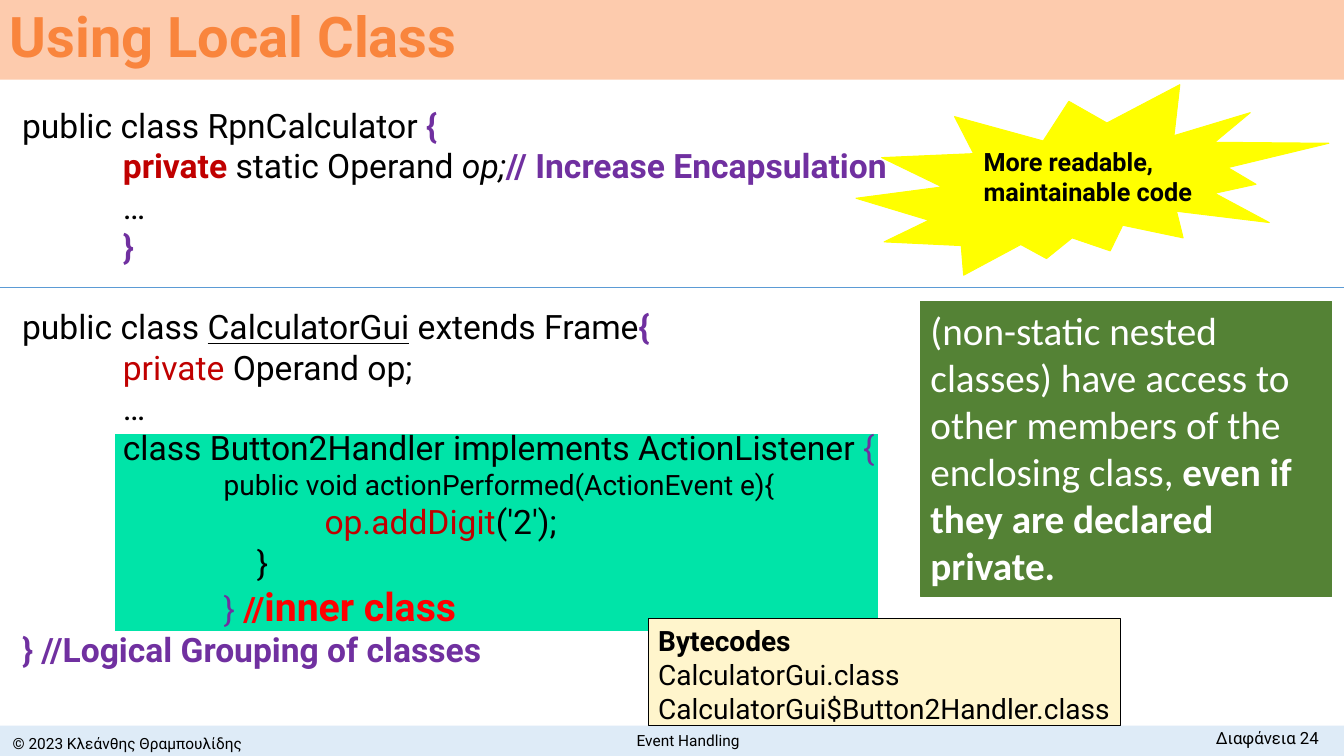
import pptx
import pptx.util
from lxml import etree
from pptx.dml.color import RGBColor
from pptx.enum.shapes import MSO_CONNECTOR, MSO_SHAPE
from pptx.enum.text import MSO_ANCHOR, PP_ALIGN
from pptx.oxml.ns import qn
from pptx.util import Inches, Pt

COLORS = {
    "black": "000000", "white": "FFFFFF", "purple": "7030A0",
    "keyword": "C00000", "red": "FF0000", "highlight": "00E4A8",
    "title_band": "FDCBAD", "title": "F9853D", "footer": "DEEBF7",
    "cream": "FFF5CC", "yellow": "FFFF00", "divider": "5B9BD5",
    "green": "548235",
}
WIDTH, HEIGHT = 13.33, 7.5
CODE_SIZE = 24
BRACE = {"color": "purple", "bold": True}

# Each line of code: (indent in inches, runs of (text, format))
CALCULATOR_CODE = [
    (0, [("public class RpnCalculator ", {}), ("{", BRACE)]),
    (1, [("private", {"color": "keyword", "bold": True}),
         (" static Operand ", {}), ("op;", {"italic": True}),
         ("// Increase Encapsulation", BRACE)]),
    (1, [("…", {})]),
    (1, [("}", BRACE)]),
]
GUI_CODE = [
    (0, [("public class ", {}), ("CalculatorGui", {"underline": True}),
         (" extends Frame", {}), ("{", BRACE)]),
    (1, [("private", {"color": "keyword"}), (" Operand op;", {})]),
    (1, [("…", {})]),
    (1, [("class Button2Handler implements ActionListener ", {}),
         ("{", {"color": "purple"})]),
    (2, [("public void actionPerformed(ActionEvent e){", {"size": 20})]),
    (3, [("op.addDigit", {"color": "keyword"}), ("('2');", {})]),
    (2.33, [("}", {})]),
    (2, [("} ", {"color": "purple"}), ("//", {"color": "red", "bold": True}),
         ("inner class", {"color": "red", "bold": True, "size": 28})]),
    (0, [("} //Logical Grouping of classes", BRACE)]),
]


def rgb(name):
    return RGBColor.from_string(COLORS[name])


def add_run(paragraph, text, size=CODE_SIZE, color="black", font="Roboto",
            bold=False, italic=False, underline=False):
    run = paragraph.add_run()
    run.text = text
    run.font.size = Pt(size)
    run.font.name = font
    run.font.color.rgb = rgb(color)
    run.font.bold = bold
    run.font.italic = italic
    run.font.underline = underline


def add_lines(shape, lines, align=PP_ALIGN.LEFT, anchor=MSO_ANCHOR.TOP,
              wrap=True):
    """Fill a shape with one paragraph per (indent, runs) pair."""
    frame = shape.text_frame
    frame.word_wrap = wrap
    frame.vertical_anchor = anchor
    for index, (indent, runs) in enumerate(lines):
        paragraph = frame.add_paragraph() if index else frame.paragraphs[0]
        paragraph.alignment = align
        if indent:
            properties = paragraph._p.get_or_add_pPr()
            properties.set("marL", str(Inches(indent)))
            properties.set("indent", "0")
        for text, style in runs:
            add_run(paragraph, text, **style)
    return frame


def add_box(slide, box, fill, line=None, preset=MSO_SHAPE.RECTANGLE):
    shape = slide.shapes.add_shape(preset, *map(Inches, box))
    shape.shadow.inherit = False
    shape.fill.solid()
    shape.fill.fore_color.rgb = rgb(fill)
    if line:
        shape.line.color.rgb = rgb(line)
        shape.line.width = Pt(0.75)
    else:
        shape.line.fill.background()
    return shape


def add_text(slide, box, lines, **layout):
    return add_lines(slide.shapes.add_textbox(*map(Inches, box)), lines, **layout)


def add_title(slide, box):
    band = add_box(slide, box, "title_band")
    style = {"size": 40, "color": "title", "bold": True}
    frame = add_lines(band, [(0, [("Using Local Class", style)])],
                      anchor=MSO_ANCHOR.MIDDLE)
    frame.paragraphs[0].line_spacing = 0.9


def add_code(slide, box):
    left, top, width, height = box
    add_box(slide, (left + 1.02, top + 3.31, 7.57, 1.97), "highlight", "white")
    frame = add_text(slide, box, CALCULATOR_CODE + GUI_CODE)
    frame.paragraphs[len(CALCULATOR_CODE)].space_before = Pt(28.8)


def add_divider(slide, top):
    line = slide.shapes.add_connector(
        MSO_CONNECTOR.STRAIGHT, 0, Inches(top), Inches(WIDTH), Inches(top))
    line.line.color.rgb = rgb("divider")
    line.line.width = Pt(0.5)
    etree.SubElement(line._element.spPr, qn("a:effectLst"))


def add_footer(slide, box):
    left, top, width, height = box
    add_box(slide, box, "footer")
    add_text(slide, (left, top + 0.02, 2.53, height),
             [(0, [("© 2023 Κλεάνθης Θραμπουλίδης", {"size": 11})])],
             align=PP_ALIGN.CENTER, anchor=MSO_ANCHOR.MIDDLE)
    add_text(slide, (left + 3.48, top, 6.69, height),
             [(0, [("Event Handling", {"size": 11})])],
             align=PP_ALIGN.CENTER, anchor=MSO_ANCHOR.MIDDLE)
    add_text(slide, (left + width - 2.21, top - 0.03, 2.06, height),
             [(0, [("Διαφάνεια 24", {"size": 12})])], align=PP_ALIGN.RIGHT)


def add_bytecodes(slide, box):
    names = ["CalculatorGui.class", "CalculatorGui$Button2Handler.class"]
    lines = [(0, [("Bytecodes", {"size": 20, "bold": True})])]
    lines += [(0, [(name, {"size": 20})]) for name in names]
    add_lines(add_box(slide, box, "cream", "black"), lines, wrap=False)


def add_burst(slide, box):
    burst = add_box(slide, box, "yellow", "yellow", MSO_SHAPE.EXPLOSION2)
    lines = [(0, [(text, {"size": 18, "bold": True})])
             for text in ("More readable,", "maintainable code")]
    add_lines(burst, lines, wrap=False)


def add_access_note(slide, box):
    style = {"size": 28, "color": "white", "font": "Calibri"}
    runs = [("(non-static nested classes) have access to other members of the "
             "enclosing class, ", style),
            ("even if they are declared private.", {**style, "bold": True})]
    add_lines(add_box(slide, box, "green", "green"), [(0, runs)])


def main():
    presentation = pptx.Presentation()
    presentation.slide_width = Inches(WIDTH)
    presentation.slide_height = Inches(HEIGHT)
    slide = presentation.slides.add_slide(presentation.slide_layouts[6])
    add_code(slide, (0.12, 0.99, 9.75, 5.82))
    add_title(slide, (0, 0, WIDTH, 0.79))
    add_footer(slide, (0, HEIGHT - 0.3, WIDTH, 0.3))
    add_bytecodes(slide, (6.43, 6.14, 4.68, 1.06))
    add_burst(slide, (8.49, 0.84, 4.69, 1.89))
    add_divider(slide, 2.85)
    add_access_note(slide, (9.13, 2.99, 4.08, 2.93))
    presentation.save("out.pptx")


if __name__ == "__main__":
    main()
